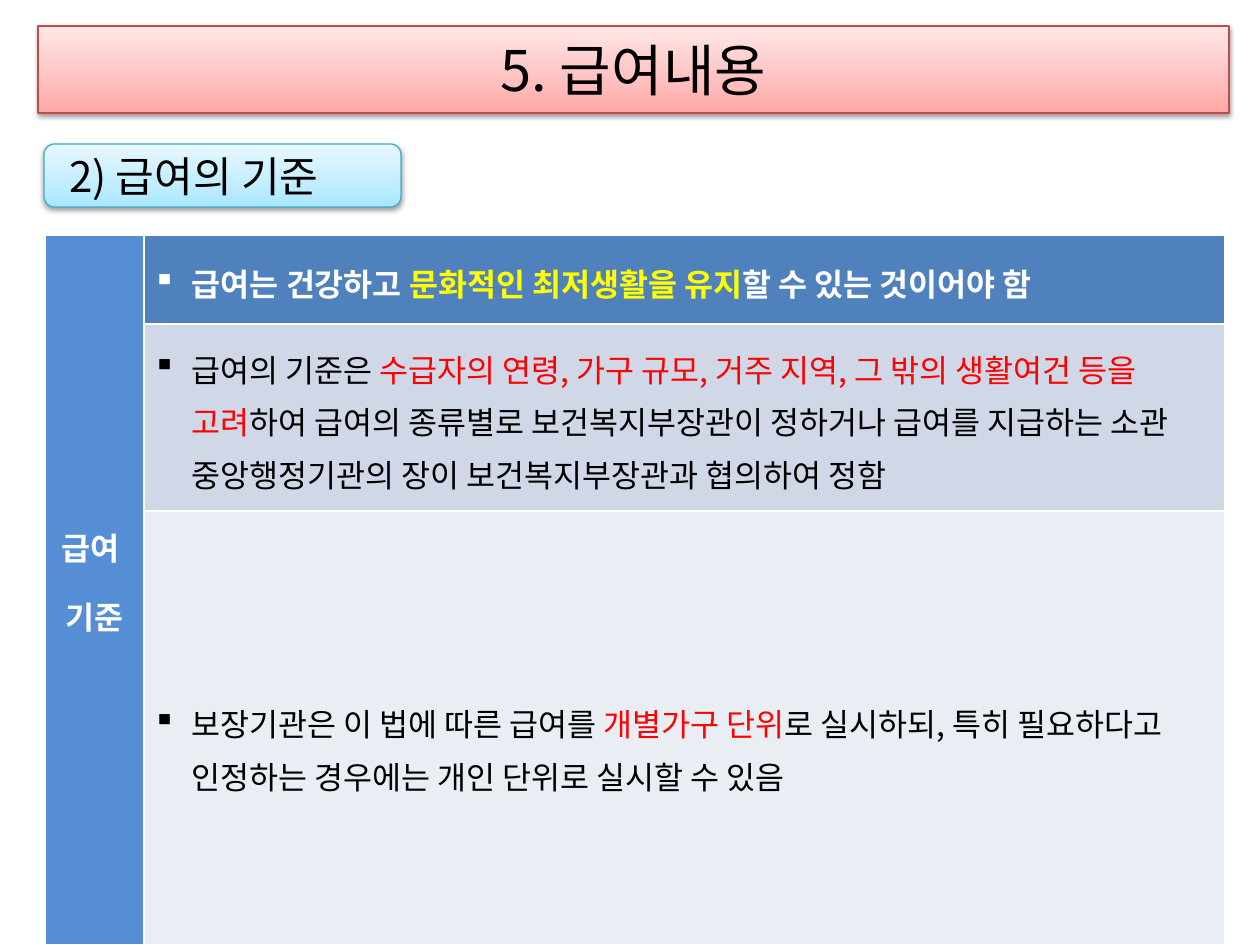
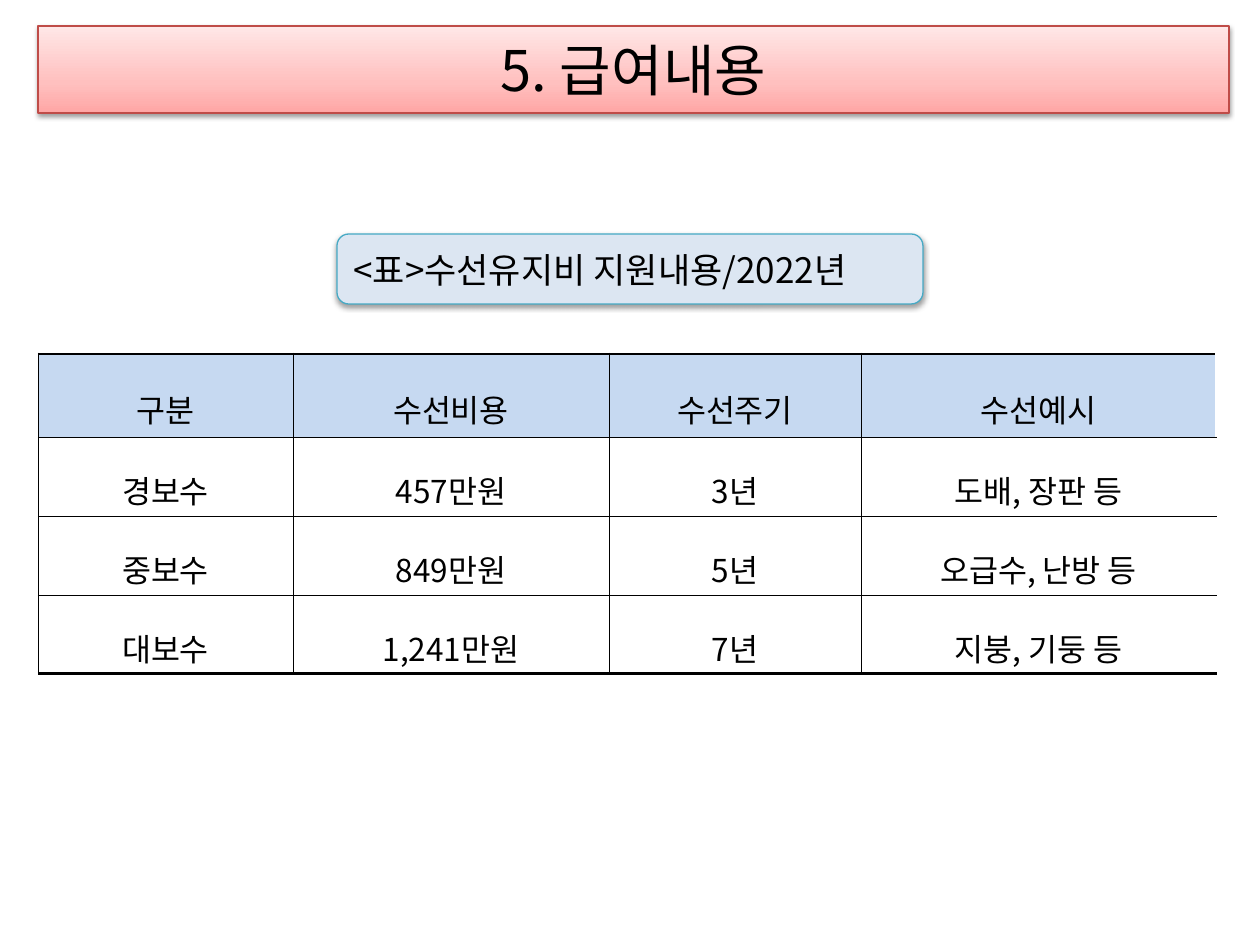
"""Build two slides on benefit standards and repair cost support."""
from lxml import etree
from pptx import Presentation
from pptx.dml.color import RGBColor
from pptx.enum.shapes import MSO_SHAPE
from pptx.enum.text import MSO_ANCHOR, PP_ALIGN
from pptx.oxml.ns import qn
from pptx.util import Emu, Pt

ROUNDED = MSO_SHAPE.ROUNDED_RECTANGLE
MIDDLE = MSO_ANCHOR.MIDDLE
CENTER, LEFT = PP_ALIGN.CENTER, PP_ALIGN.LEFT

FONT = "Noto Sans CJK KR"
PX = 914400 / 126
TITLE_ONLY = 5

BLACK = RGBColor(0x00, 0x00, 0x00)
WHITE = RGBColor(0xFF, 0xFF, 0xFF)
RED = RGBColor(0xFF, 0x00, 0x00)
YELLOW = RGBColor(0xFF, 0xFF, 0x00)
BAND_LINE = RGBColor(0xBF, 0x4C, 0x48)
LABEL_LINE = RGBColor(0x46, 0xAA, 0xC5)
LABEL_FILL = RGBColor(0xDC, 0xE6, 0xF2)
SIDE_FILL = RGBColor(0x55, 0x8E, 0xD5)
HEADER_FILL = RGBColor(0xC6, 0xD9, 0xF1)
RULE_FILLS = [RGBColor(0x4F, 0x81, 0xBD), RGBColor(0xD0, 0xD8, 0xE8),
              RGBColor(0xE9, 0xED, 0xF4)]
PINK_STOPS = [(0, RGBColor(0xFF, 0xA6, 0xA5)), (35, RGBColor(0xFF, 0xC0, 0xBF)),
              (100, RGBColor(0xFF, 0xE7, 0xE7))]
CYAN_STOPS = [(0, RGBColor(0xA7, 0xE6, 0xFF)), (35, RGBColor(0xC1, 0xED, 0xFF)),
              (100, RGBColor(0xE7, 0xF8, 0xFF))]

TITLE = "5. 급여내용"
TITLE_BOX = (38, 26, 1191, 87)

STANDARD_LABEL = "2) 급여의 기준"
STANDARD_BOX = (44, 144, 357, 63)
SIDE_LINES = ["급여 ", "기준"]
RULES = [
    [("급여는 건강하고 ", WHITE), ("문화적인 최저생활을 유지", YELLOW),
     ("할 수 있는 것이어야 함", WHITE)],
    [("급여의 기준은 ", BLACK),
     ("수급자의 연령, 가구 규모, 거주 지역, 그 밖의 생활여건 등을 고려", RED),
     ("하여 급여의 종류별로 보건복지부장관이 정하거나 급여를 지급하는 소관 "
      "중앙행정기관의 장이 보건복지부장관과 협의하여 정함", BLACK)],
    [("보장기관은 이 법에 따른 급여를 ", BLACK), ("개별가구 단위", RED),
     ("로 실시하되, 특히 필요하다고 인정하는 경우에는 개인 단위로 실시할 수 있음", BLACK)],
]
RULE_ORIGIN, RULE_COLUMNS, RULE_ROWS = (45, 235), [99, 1081], [89, 187, 434]

REPAIR_LABEL = "<표>수선유지비 지원내용/2022년"
REPAIR_BOX = (337, 234, 586, 70)
REPAIRS = [
    ["구분", "수선비용", "수선주기", "수선예시"],
    ["경보수", "457만원", "3년", "도배, 장판 등"],
    ["중보수", "849만원", "5년", "오급수, 난방 등"],
    ["대보수", "1,241만원", "7년", "지붕, 기둥 등"],
]
REPAIR_ORIGIN, REPAIR_COLUMNS, REPAIR_ROWS = (38, 354), [255, 316, 252, 355], [83, 78, 78, 77]


def px(length):
    """Turn px into EMU."""
    return Emu(round(length * PX))


def add_node(parent, tag, **attributes):
    """Append a DrawingML element."""
    return etree.SubElement(parent, qn(tag), {k: str(v) for k, v in attributes.items()})


def style_span(span, size, color, bold=False):
    """Format one run, with the same font for Latin and Korean."""
    span.font.size, span.font.bold, span.font.name = Pt(size), bold, FONT
    span.font.color.rgb = color
    add_node(span.font._element, "a:ea", typeface=FONT)


def style_text(frame, size, color, align, bold=False, spacing=None):
    """Format every paragraph of a text frame."""
    for para in frame.paragraphs:
        para.alignment, para.line_spacing = align, spacing
        for span in para.runs:
            style_span(span, size, color, bold)


def style_box(shape, fill, line):
    """Give a shape a solid or gradient fill, a thin line and a soft shadow."""
    if isinstance(fill, RGBColor):
        shape.fill.solid()
        shape.fill.fore_color.rgb = fill
    else:
        shape.fill.gradient()
        shape.fill.gradient_angle = 90
        stops = shape._element.spPr.find(".//" + qn("a:gsLst"))
        for stop in list(stops):
            stops.remove(stop)
        for position, color in fill:
            stop = add_node(stops, "a:gs", pos=position * 1000)
            add_node(stop, "a:srgbClr", val=color)
    shape.line.color.rgb, shape.line.width = line, Pt(0.75)
    shape.shadow.inherit = False
    effects = shape._element.spPr.find(qn("a:effectLst"))
    shadow = add_node(effects, "a:outerShdw", blurRad=Pt(3.1), dist=Pt(1.6),
                      dir=5400000, rotWithShape=0)
    add_node(add_node(shadow, "a:srgbClr", val=BLACK), "a:alpha", val=38000)


def add_page(deck):
    """Add a slide with the shared title band."""
    page = deck.slides.add_slide(deck.slide_layouts[TITLE_ONLY])
    title = page.shapes.title
    title.left, title.top, title.width, title.height = map(px, TITLE_BOX)
    style_box(title, PINK_STOPS, BAND_LINE)
    title.text_frame.text = TITLE
    title.text_frame.vertical_anchor = MIDDLE
    style_text(title.text_frame, 32, BLACK, CENTER)
    return page


def add_label(page, place, text, fill, size, inset):
    """Add a rounded label."""
    box = page.shapes.add_shape(ROUNDED, *map(px, place))
    style_box(box, fill, LABEL_LINE)
    frame = box.text_frame
    frame.text, frame.word_wrap = text, True
    frame.margin_left, frame.vertical_anchor = px(inset), MIDDLE
    style_text(frame, size, BLACK, LEFT)


def add_grid(page, origin, columns, rows):
    """Add a table with the given column widths and row heights."""
    size = (sum(columns), sum(rows))
    table = page.shapes.add_table(len(rows), len(columns), *map(px, origin + size)).table
    for column, width in zip(table.columns, columns):
        column.width = px(width)
    for row, height in zip(table.rows, rows):
        row.height = px(height)
    for cell in table.iter_cells():
        cell.margin_left = cell.margin_right = px(9)
        cell.margin_top = cell.margin_bottom = px(3)
        cell.vertical_anchor = MIDDLE
    return table


def fill_cell(cell, color):
    """Fill a cell with one colour."""
    cell.fill.solid()
    cell.fill.fore_color.rgb = color


def add_borders(cell, widths):
    """Draw black borders, given as a dict of side to points, ahead of the fill."""
    properties = cell._tc.get_or_add_tcPr()
    for index, (side, width) in enumerate(widths.items()):
        line = etree.Element(qn("a:ln" + side), w=str(Pt(width)))
        add_node(add_node(line, "a:solidFill"), "a:srgbClr", val=BLACK)
        properties.insert(index, line)


def add_rules(page):
    """Add the table of benefit rules with its merged side heading."""
    table = add_grid(page, RULE_ORIGIN, RULE_COLUMNS, RULE_ROWS)
    side = table.cell(0, 0)
    side.merge(table.cell(len(RULES) - 1, 0))
    side.text_frame.text = "\n".join(SIDE_LINES)
    side.margin_bottom = px(43)
    fill_cell(side, SIDE_FILL)
    style_text(side.text_frame, 18, WHITE, CENTER, True, 1.5)
    for index, (rule, fill) in enumerate(zip(RULES, RULE_FILLS)):
        cell = table.cell(index, 1)
        fill_cell(cell, fill)
        para = cell.text_frame.paragraphs[0]
        properties = para._p.get_or_add_pPr()
        properties.set("marL", str(px(39)))
        properties.set("indent", str(px(-39)))
        add_node(properties, "a:buChar", char="▪")
        para.line_spacing = Pt(30)
        for text, color in rule:
            span = para.add_run()
            span.text = text
            style_span(span, 18, color, index == 0)
    cell.margin_top = px(39)


def add_repairs(page):
    """Add the table of repair costs, open on its right side."""
    table = add_grid(page, REPAIR_ORIGIN, REPAIR_COLUMNS, REPAIR_ROWS)
    last_row, last_column = len(REPAIR_ROWS) - 1, len(REPAIR_COLUMNS) - 1
    for i, values in enumerate(REPAIRS):
        for j, value in enumerate(values):
            cell = table.cell(i, j)
            cell.text_frame.text = value
            style_text(cell.text_frame, 18, BLACK, CENTER, spacing=1.6)
            fill_cell(cell, HEADER_FILL if i == 0 else WHITE)
            widths = {"L": 0.28, "R": 0.28, "T": 1.7 if i == 0 else 0.28,
                      "B": 1.7 if i == last_row else 0.28}
            if j == last_column:
                del widths["R"]
            add_borders(cell, widths)


def main():
    """Build and save the deck."""
    deck = Presentation()
    deck.slide_width, deck.slide_height = px(1260), px(945)

    page = add_page(deck)
    add_label(page, STANDARD_BOX, STANDARD_LABEL, CYAN_STOPS, 24, 22)
    add_rules(page)

    page = add_page(deck)
    add_repairs(page)
    add_label(page, REPAIR_BOX, REPAIR_LABEL, LABEL_FILL, 20, 13)

    deck.save("out.pptx")


if __name__ == "__main__":
    main()
